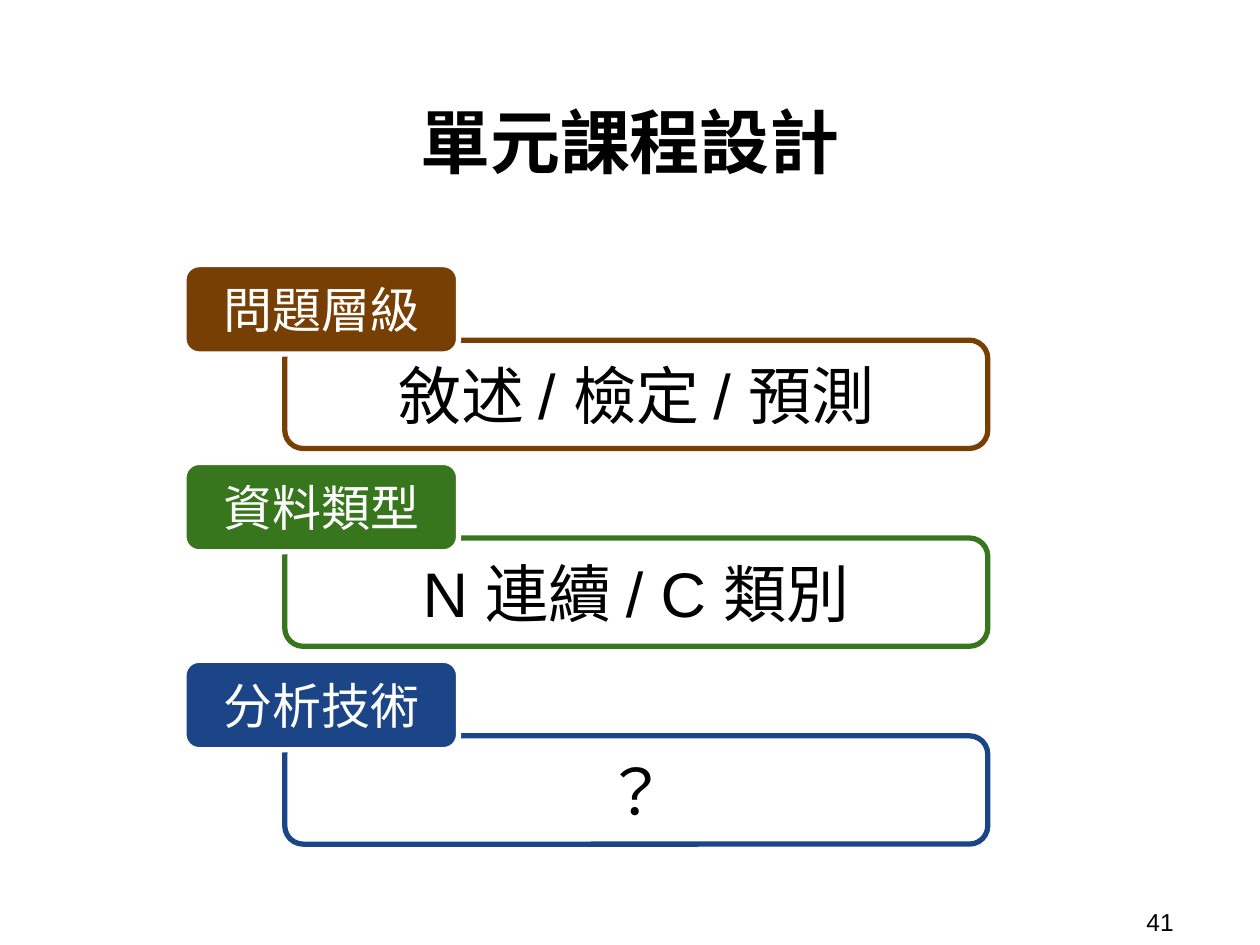
from dataclasses import dataclass

from lxml.etree import SubElement
from pptx import Presentation
from pptx.dml.color import RGBColor
from pptx.enum.shapes import MSO_SHAPE
from pptx.enum.text import MSO_ANCHOR, MSO_AUTO_SIZE, PP_ALIGN
from pptx.oxml.ns import qn
from pptx.shapes.autoshape import Shape
from pptx.slide import Slide
from pptx.util import Pt

EMU_PER_PX = 9144
LATIN_FONT = "Arial"
CHINESE_FONT = "Noto Sans CJK TC"
BLACK = "000000"
WHITE = "FFFFFF"
ROW_TOP = 210
ROW_PITCH = 157
CONTENT_OFFSET = 60


@dataclass(frozen=True)
class Box:
    left: int
    top: int
    width: int
    height: int

    def emu(self) -> tuple[int, int, int, int]:
        return (
            self.left * EMU_PER_PX,
            self.top * EMU_PER_PX,
            self.width * EMU_PER_PX,
            self.height * EMU_PER_PX,
        )


@dataclass(frozen=True)
class DesignRow:
    label: str
    content: str
    color: str


ROWS = [
    DesignRow("問題層級", "敘述 / 檢定 / 預測", "783F04"),
    DesignRow("資料類型", "N 連續 / C 類別", "38761D"),
    DesignRow("分析技術", "？", "1C4587"),
]


def rgb(color: str) -> RGBColor:
    return RGBColor.from_string(color)


def write_text(
    shape: Shape,
    text: str,
    size: int,
    color: str = BLACK,
    font_name: str = LATIN_FONT,
    bold: bool = False,
    alignment: PP_ALIGN = PP_ALIGN.CENTER,
    anchor: MSO_ANCHOR = MSO_ANCHOR.MIDDLE,
    vertical_margin: int = 10,
) -> None:
    frame = shape.text_frame
    frame.word_wrap = True
    frame.auto_size = MSO_AUTO_SIZE.NONE
    frame.vertical_anchor = anchor
    frame.margin_left = frame.margin_right = 10 * EMU_PER_PX
    frame.margin_top = frame.margin_bottom = vertical_margin * EMU_PER_PX
    paragraph = frame.paragraphs[0]
    paragraph.alignment = alignment
    run = paragraph.add_run()
    run.text = text
    run.font.size = Pt(size)
    run.font.bold = bold
    run.font.color.rgb = rgb(color)
    run.font.name = font_name
    east_asian = SubElement(run.font._element, qn("a:ea"))
    east_asian.set("typeface", CHINESE_FONT)


def add_title(slide: Slide, text: str) -> None:
    title = slide.shapes.title
    title.left, title.top, title.width, title.height = Box(52, 19, 896, 136).emu()
    write_text(
        title, text, 40, font_name=CHINESE_FONT, bold=True, anchor=MSO_ANCHOR.BOTTOM
    )


def add_page_number(slide: Slide, number: str) -> None:
    text_box = slide.shapes.add_textbox(*Box(900, 717, 92, 29).emu())
    write_text(text_box, number, 14, alignment=PP_ALIGN.LEFT, vertical_margin=5)


def add_rounded_box(slide: Slide, box: Box, fill: str, line: str) -> Shape:
    shape = slide.shapes.add_shape(MSO_SHAPE.ROUNDED_RECTANGLE, *box.emu())
    shape.adjustments[0] = 0.17
    shape.shadow.inherit = False
    shape.fill.solid()
    shape.fill.fore_color.rgb = rgb(fill)
    shape.line.color.rgb = rgb(line)
    shape.line.width = Pt(3)
    return shape


def add_design_row(slide: Slide, row: DesignRow, top: int) -> None:
    content_box = Box(226, top + CONTENT_OFFSET, 558, 86)
    content = add_rounded_box(slide, content_box, WHITE, row.color)
    write_text(content, row.content, 36)
    label = add_rounded_box(slide, Box(146, top, 218, 71), row.color, WHITE)
    write_text(label, row.label, 28, WHITE)


def main() -> None:
    presentation = Presentation()
    presentation.slide_width = 1000 * EMU_PER_PX
    presentation.slide_height = 750 * EMU_PER_PX
    slide = presentation.slides.add_slide(presentation.slide_layouts[5])
    add_title(slide, "單元課程設計")
    add_page_number(slide, "41")
    for index, row in enumerate(ROWS):
        add_design_row(slide, row, ROW_TOP + index * ROW_PITCH)
    presentation.save("out.pptx")


if __name__ == "__main__":
    main()
